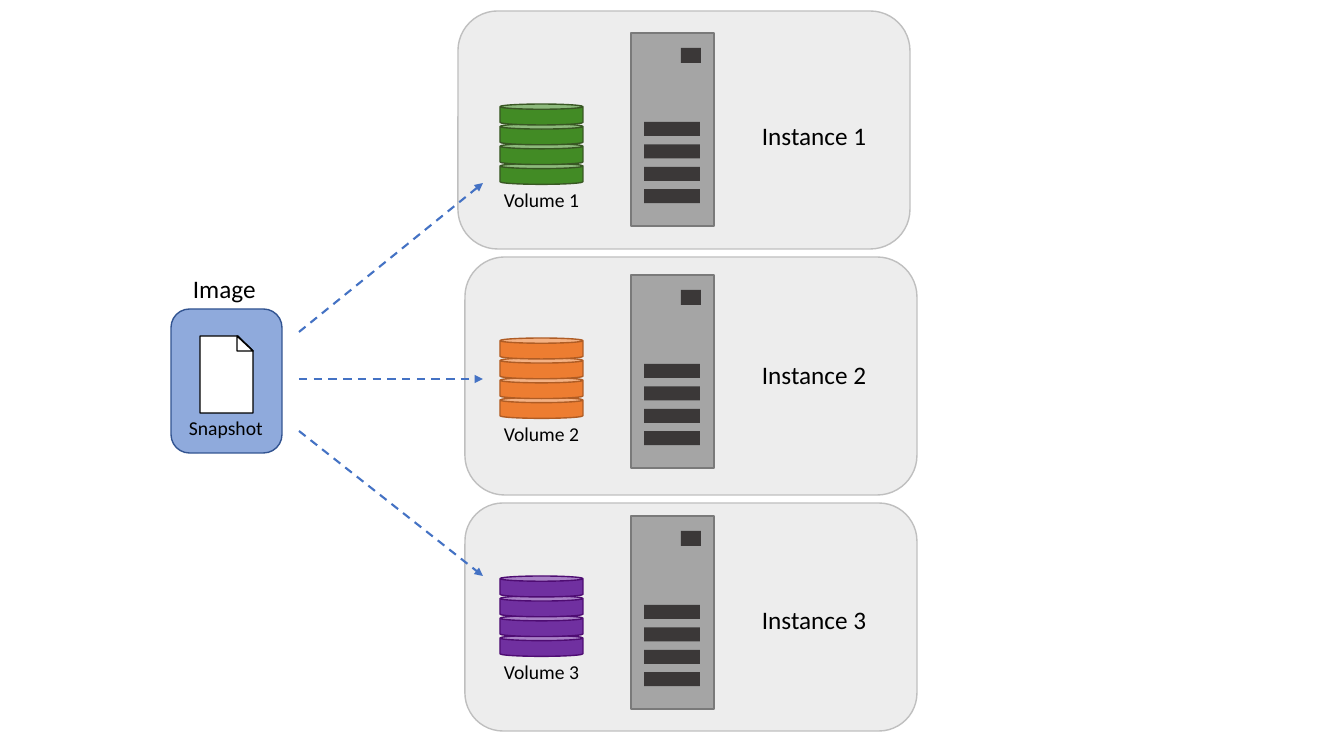
from pptx import Presentation
from pptx.dml.color import RGBColor
from pptx.enum.dml import MSO_LINE_DASH_STYLE as Dash
from pptx.enum.shapes import MSO_CONNECTOR as Link, MSO_SHAPE as Kind
from pptx.enum.text import MSO_AUTO_SIZE as Fit, PP_ALIGN as Align
from pptx.oxml.ns import qn
from pptx.util import Emu, Pt
from lxml.etree import SubElement

SCALE = 914400 / 100.8

WHITE = RGBColor(0xFF, 0xFF, 0xFF)
BLACK = RGBColor(0x00, 0x00, 0x00)
PANEL = RGBColor(0xED, 0xED, 0xED)
PANEL_EDGE = RGBColor(0xBF, 0xBF, 0xBF)
CASE = RGBColor(0xA5, 0xA5, 0xA5)
CASE_EDGE = RGBColor(0x7A, 0x7A, 0x7A)
SLOT = RGBColor(0x3B, 0x38, 0x38)
GREEN = RGBColor(0x42, 0x8B, 0x25)
GREEN_EDGE = RGBColor(0x38, 0x57, 0x23)
ORANGE = RGBColor(0xED, 0x7D, 0x31)
ORANGE_EDGE = RGBColor(0xAF, 0x5C, 0x24)
PURPLE = RGBColor(0x70, 0x30, 0xA0)
PURPLE_EDGE = RGBColor(0x4E, 0x0C, 0x72)
BLUE = RGBColor(0x8F, 0xAA, 0xDC)
BLUE_EDGE = RGBColor(0x32, 0x54, 0x91)
ARROW = RGBColor(0x44, 0x72, 0xC4)


def px(*vals):
    return [Emu(round(val * SCALE)) for val in vals]


class Board:
    font = "Calibri"

    def __init__(self, slide):
        self.slide = slide
        self.host = slide.shapes

    def group(self):
        self.host = self.slide.shapes.add_group_shape().shapes

    def ungroup(self):
        self.host = self.slide.shapes

    def paint(self, shape, fill, edge):
        shape.shadow.inherit = False
        shape.fill.solid()
        shape.fill.fore_color.rgb = fill
        if edge is None:
            shape.line.fill.background()
        else:
            shape.line.color.rgb = edge
            shape.line.width = Pt(1)

    def shape(self, kind, box, fill, edge=None):
        self.paint(self.host.add_shape(kind, *px(*box)), fill, edge)

    def outline(self, points, fill, edge):
        path = self.host.build_freeform(*points[0], scale=SCALE)
        path.add_line_segments(points[1:], close=True)
        self.paint(path.convert_to_shape(), fill, edge)

    def text(self, words, box, size, align=Align.LEFT):
        frame = self.host.add_textbox(*px(*box)).text_frame
        frame.text = words
        frame.word_wrap = False
        frame.auto_size = Fit.SHAPE_TO_FIT_TEXT
        para = frame.paragraphs[0]
        para.alignment = align
        font = para.runs[0].font
        font.name, font.size = self.font, Pt(size)
        font.color.rgb = BLACK

    def arrow(self, start, end):
        link = self.host.add_connector(Link.STRAIGHT, *px(*start, *end))
        link.line.color.rgb = ARROW
        link.line.width = Pt(1.5)
        link.line.dash_style = Dash.DASH
        SubElement(link.line._get_or_add_ln(), qn("a:tailEnd"), type="triangle")
        SubElement(link._element.spPr, qn("a:effectLst"))

    def server(self, top):
        self.group()
        self.shape(Kind.RECTANGLE, (631, top, 83, 193), CASE, CASE_EDGE)
        self.shape(Kind.RECTANGLE, (681, top + 15, 20, 15), SLOT)
        for row in range(4):
            self.shape(Kind.RECTANGLE, (644, top + 89 + 22.4 * row, 56, 14), SLOT)
        self.ungroup()

    def volume(self, top, fill, edge):
        self.group()
        for row in reversed(range(4)):
            self.shape(Kind.CAN, (500, top + 19.8 * row, 83, 21), fill, edge)
        self.ungroup()


deck = Presentation()
deck.slide_width, deck.slide_height = px(1344, 756)
board = Board(deck.slides.add_slide(deck.slide_layouts[6]))

# Instances: panel box, server top, disk top, label top, disk colours
instances = [
    ((458, 11, 452, 238), 33, 104, 115, GREEN, GREEN_EDGE),
    ((465, 257, 452, 238), 275, 338, 354, ORANGE, ORANGE_EDGE),
    ((465, 503, 452, 228), 516, 576, 599, PURPLE, PURPLE_EDGE),
]
for num, (panel, case, disk, label, fill, edge) in enumerate(instances, 1):
    board.shape(Kind.ROUNDED_RECTANGLE, panel, PANEL, PANEL_EDGE)
    board.server(case)
    board.volume(disk, fill, edge)
    board.text(f"Instance {num}", (752, label, 126, 40), 18)
    board.text(f"Volume {num}", (493, disk + 79, 97, 34), 14, Align.CENTER)

# Image with its snapshot page
board.group()
board.shape(Kind.ROUNDED_RECTANGLE, (171, 309, 111, 144), BLUE, BLUE_EDGE)
board.text("Image", (183, 268, 84, 40), 18)
board.outline([(200, 336), (200, 413), (253, 413), (253, 351), (238, 336)],
              WHITE, BLACK)
board.outline([(237, 336), (237, 351), (253, 351)], WHITE, BLACK)
board.text("Snapshot", (179, 411, 95, 34), 14)
board.ungroup()

# Arrows from the image to each volume
for start, end in [(379, 379), (332, 183), (431, 576)]:
    board.arrow((299, start), (483, end))

deck.save("out.pptx")
